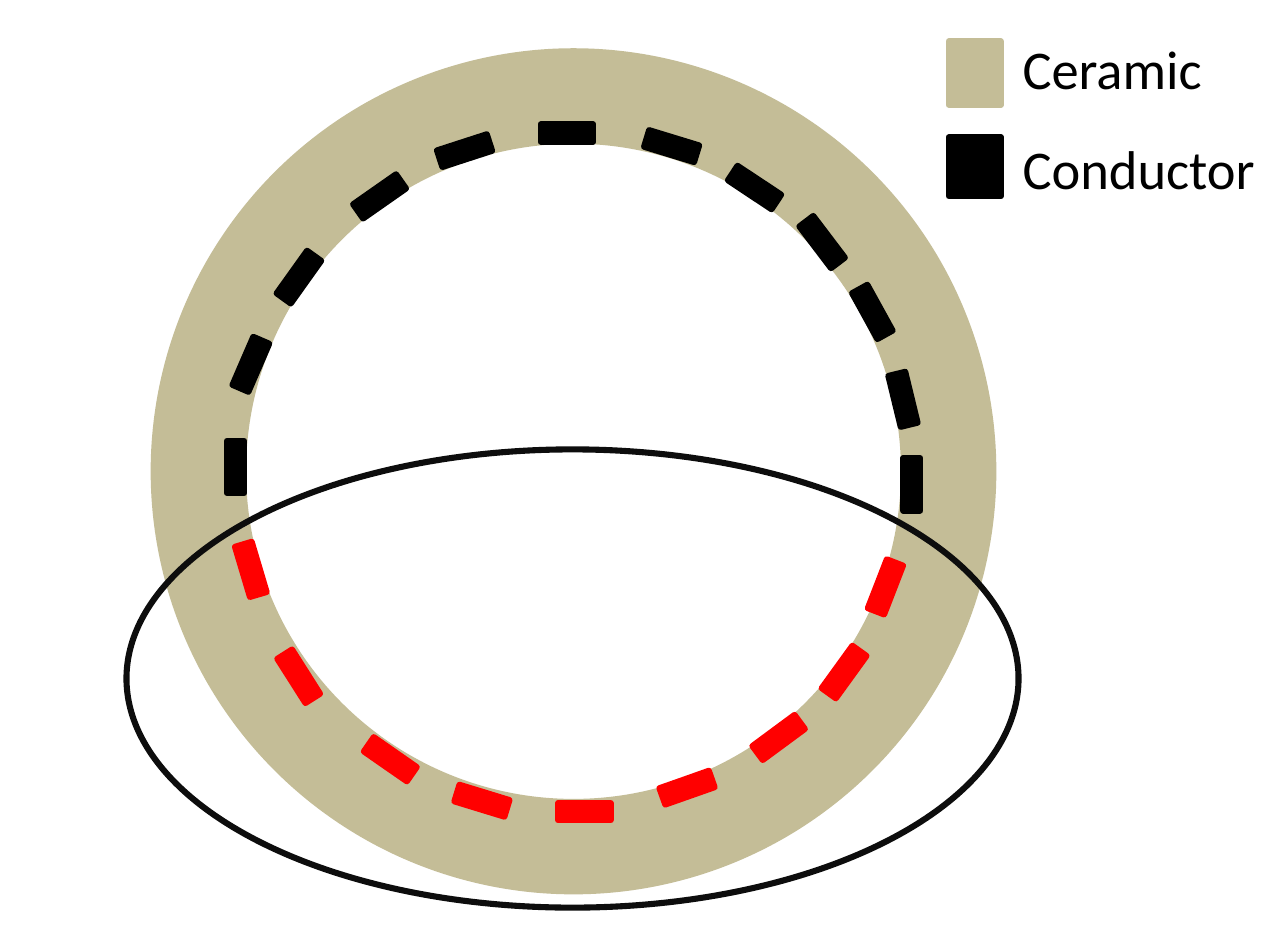
from pptx import Presentation
from pptx.dml.color import RGBColor
from pptx.enum.shapes import MSO_SHAPE
from pptx.enum.text import MSO_AUTO_SIZE
from pptx.util import Cm, Emu, Pt

RECT = MSO_SHAPE.RECTANGLE
OVAL = MSO_SHAPE.OVAL
FIT_SHAPE = MSO_AUTO_SIZE.SHAPE_TO_FIT_TEXT

CERAMIC = RGBColor(0xC4, 0xBD, 0x97)
BLACK = RGBColor(0x00, 0x00, 0x00)
RED = RGBColor(0xFF, 0x00, 0x00)
NEAR_BLACK = RGBColor(0x0D, 0x0D, 0x0D)

EMU_PER_PX = 9144  # 100 px to the inch
SEGMENT_SIZE = (24, 8)

# Conductor segments: left, top, rotation, clockwise around the ring
UPPER_SEGMENTS = [
    (96, 210, 90), (103, 163, 113.4), (125, 123, 125.5), (162, 86, 145),
    (201, 65, 162), (248, 57, 0), (296, 63, 17), (334, 82, 33.5),
    (365, 107, 52.8), (388, 139, 61.1), (402, 179, 76.3), (406, 218, 90),
]
LOWER_SEGMENTS = [
    (394, 265, 111.2), (375, 304, 125.9), (345, 334, 143.6), (303, 357, 160.6),
    (256, 368, 0), (209, 363, 17), (167, 344, 34.8), (125, 306, 57.6),
    (103, 257, 73.4),
]

# Legend: label, colour, swatch top and height, label top and width
LEGEND = [
    ("Ceramic", CERAMIC, 19, 29, 11, 103),
    ("Conductor", BLACK, 63, 27, 57, 128),
]


def px(*lengths):
    return [Emu(length * EMU_PER_PX) for length in lengths]


class Diagram:
    label_format = {"name": "Calibri", "size": Pt(18)}
    edge_width = 2

    def __init__(self, slide):
        self.shapes = slide.shapes

    def outline(self, kind, box, color, width):
        shape = self.shapes.add_shape(kind, *px(*box))
        shape.shadow.inherit = False
        shape.fill.background()
        shape.line.color.rgb = color
        shape.line.width = Pt(width)
        return shape

    def block(self, box, color, rotation=0):
        shape = self.outline(RECT, box, color, self.edge_width)
        shape.fill.solid()
        shape.fill.fore_color.rgb = color
        shape.rotation = rotation

    def label(self, text, box):
        frame = self.shapes.add_textbox(*px(*box)).text_frame
        frame.word_wrap = False
        frame.auto_size = FIT_SHAPE
        run = frame.paragraphs[0].add_run()
        run.text = text
        for key, value in self.label_format.items():
            setattr(run.font, key, value)
        run.font.color.rgb = BLACK


def main():
    deck = Presentation()
    deck.slide_width = Cm(15)
    deck.slide_height = Cm(11)
    diagram = Diagram(deck.slides.add_slide(deck.slide_layouts[6]))

    # Ceramic ring
    diagram.outline(OVAL, (91, 44, 344, 344), CERAMIC, 31.5)

    # Conductor segments along the inner edge
    for segments, color in ((UPPER_SEGMENTS, BLACK), (LOWER_SEGMENTS, RED)):
        for left, top, rotation in segments:
            diagram.block((left, top, *SEGMENT_SIZE), color, rotation)

    # Legend
    for text, color, top, height, label_top, label_width in LEGEND:
        diagram.block((435, top, 24, height), color)
        diagram.label(text, (459, label_top, label_width, 40))

    # Ellipse around the red segments
    diagram.outline(OVAL, (58, 206, 409, 210), NEAR_BLACK, 2)

    deck.save("out.pptx")


if __name__ == "__main__":
    main()
